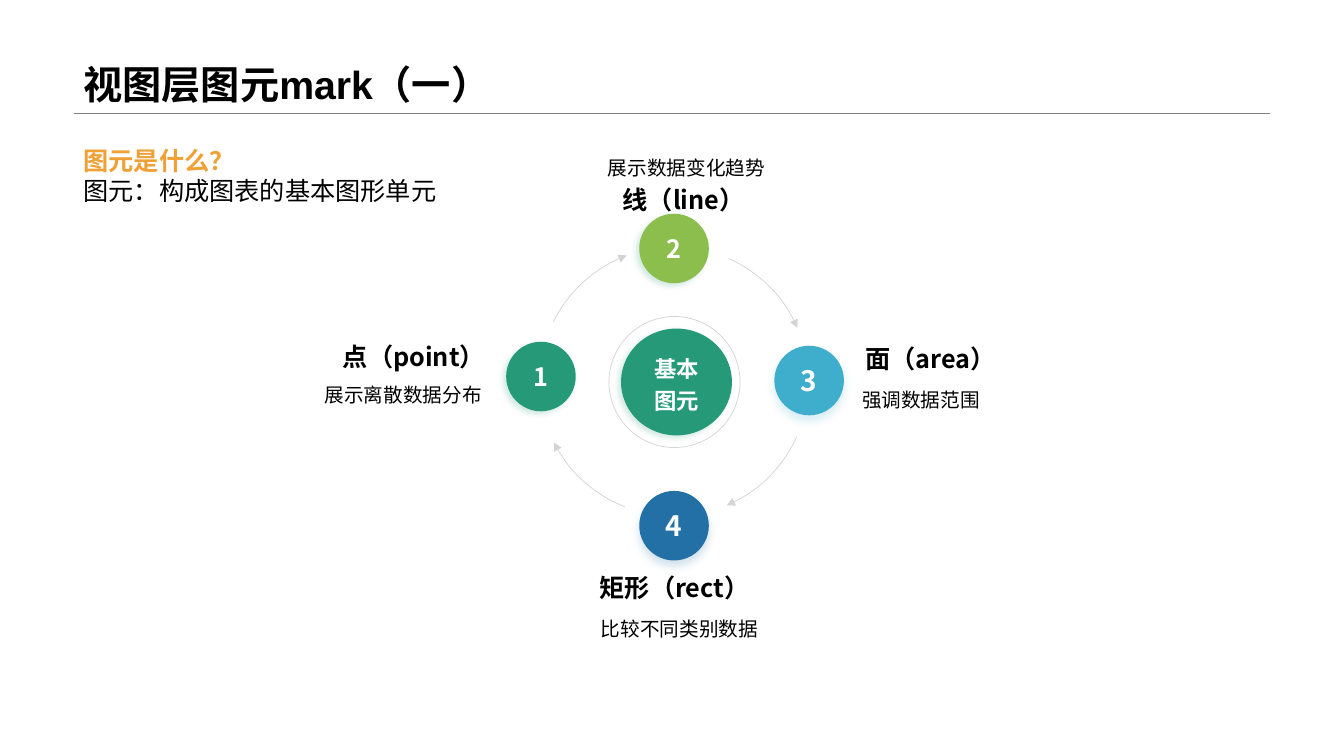
from dataclasses import dataclass

from lxml import etree
from pptx import Presentation
from pptx.dml.color import RGBColor
from pptx.enum import shapes, text
from pptx.oxml import ns
from pptx.util import Inches, Pt

LEFT, CENTER, RIGHT = text.PP_ALIGN.LEFT, text.PP_ALIGN.CENTER, text.PP_ALIGN.RIGHT
TOP, MIDDLE, BOTTOM = text.MSO_ANCHOR.TOP, text.MSO_ANCHOR.MIDDLE, text.MSO_ANCHOR.BOTTOM


@dataclass(frozen=True)
class Theme:
    latin: str = "Arial"
    cjk: str = "Noto Sans CJK SC"
    ink: str = "000000"
    white: str = "FFFFFF"
    rule: str = "808080"
    ring: str = "595959"
    accent: str = "EFA136"
    teal: str = "259978"
    green: str = "8CBE4D"
    sky: str = "3EAECC"
    blue: str = "2370A7"
    title: int = 28
    big: int = 20
    heading: int = 18
    hub: int = 16
    note: int = 14


THEME = Theme()
NODE = 0.69
# blur, distance (points) and direction (degrees)
SOFT, DROP = (4, 3, 135), (6, 4, 90)

# number, size, colour, shadow colour, shadow, left, top
NODES = [
    ("1", THEME.heading, THEME.teal, THEME.teal, SOFT, 5.02, 3.39),
    ("2", THEME.heading, THEME.green, THEME.teal, SOFT, 6.34, 2.12),
    ("3", THEME.big, THEME.sky, THEME.sky, DROP, 7.68, 3.43),
    ("4", THEME.big, THEME.blue, THEME.blue, DROP, 6.34, 4.87),
]

# alignment, heading, left, top, line spacing, note, left, top
LABELS = [
    (RIGHT, "点（point）", 2.81, 3.44, 1.0, "展示离散数据分布", 1.86, 3.63),
    (CENTER, "线（line）", 5.72, 1.85, 1.2, "展示数据变化趋势", 5.29, 1.38),
    (LEFT, "面（area）", 8.46, 3.43, 1.2, "强调数据范围", 8.43, 3.68),
    (CENTER, "矩形（rect）", 5.63, 5.7, 1.2, "比较不同类别数据", 5.22, 5.95),
]

# start and end adjustments of the arcs 1-2, 2-3, 3-4 and 4-1
ARCS = [(138.06, 164.09), (190.75, 0.31), (29.04, 54.57), (81.24, 106.26)]


def add_child(parent, tag, **attributes):
    return etree.SubElement(parent, ns.qn(tag), attributes)


def set_alpha(color_element, percent):
    add_child(color_element, "a:alpha", val=str(percent * 1000))


def set_text(para, words, size, color, bold=False, font=THEME.cjk, align=LEFT, spacing=1.0):
    para.text = words
    para.alignment = align
    para.line_spacing = spacing
    para.font.size = Pt(size)
    para.font.bold = bold
    para.font.color.rgb = RGBColor.from_string(color)
    para.font.name = font
    add_child(para._p.pPr.find(ns.qn("a:defRPr")), "a:ea", typeface=THEME.cjk)


def set_frame(frame, anchor, inset_x, inset_y):
    frame.word_wrap = True
    frame.vertical_anchor = anchor
    frame.margin_left = frame.margin_right = Inches(inset_x)
    frame.margin_top = frame.margin_bottom = Inches(inset_y)


def add_box(page, left, top, width, height, anchor=TOP, inset_x=0.12, inset_y=0.12):
    box = page.shapes.add_textbox(Inches(left), Inches(top), Inches(width), Inches(height))
    set_frame(box.text_frame, anchor, inset_x, inset_y)
    return box.text_frame


def add_plain_shape(page, kind, left, top, width, height):
    shape = page.shapes.add_shape(
        kind, Inches(left), Inches(top), Inches(width), Inches(height))
    shape.shadow.inherit = False
    return shape


def add_shadow(shape, color, blur, distance, direction):
    effects = shape._element.spPr.find(ns.qn("a:effectLst"))
    shadow = add_child(effects, "a:outerShdw", blurRad=str(Pt(blur)), dist=str(Pt(distance)),
                       dir=str(direction * 60000), algn="ctr", rotWithShape="0")
    set_alpha(add_child(shadow, "a:srgbClr", val=color), 20)


def add_disc(page, words, size, color, shadow_color, shadow, left, top,
             width=NODE, height=NODE, inset=0.05, spacing=1.0):
    disc = add_plain_shape(page, shapes.MSO_SHAPE.OVAL, left, top, width, height)
    disc.fill.solid()
    disc.fill.fore_color.rgb = RGBColor.from_string(color)
    disc.line.fill.background()
    add_shadow(disc, shadow_color, *shadow)
    set_frame(disc.text_frame, MIDDLE, inset, inset)
    set_text(disc.text_frame.paragraphs[0], words, size, THEME.white, True,
             align=CENTER, spacing=spacing)


def add_thin_outline(page, kind, left, top, size):
    """Adds an unfilled shape with a faint line."""
    outline = add_plain_shape(page, kind, left, top, size, size)
    outline.fill.background()
    outline.line.color.rgb = RGBColor.from_string(THEME.ring)
    outline.line.width = Pt(0.5)
    set_alpha(outline._element.spPr.find(".//" + ns.qn("a:srgbClr")), 25)
    return outline


def add_arc_arrow(page, start, end):
    arc = add_thin_outline(page, shapes.MSO_SHAPE.ARC, 5.35, 2.45, 2.67)
    arc.rotation = 336
    arc.adjustments[0], arc.adjustments[1] = start, end
    add_child(arc.line._get_or_add_ln(), "a:tailEnd", type="triangle")


def add_label(page, align, heading, left, top, spacing, note, note_left, note_top):
    frame = add_box(page, left, top, 2.12, 0.2, MIDDLE)
    set_text(frame.paragraphs[0], heading, THEME.heading, THEME.ink, True,
             align=align, spacing=spacing)
    frame = add_box(page, note_left, note_top, 3.04, 0.43)
    set_text(frame.paragraphs[0], note, THEME.note, THEME.ink, align=align, spacing=1.2)


def add_title(page, words):
    rule = page.shapes.add_connector(
        shapes.MSO_CONNECTOR.STRAIGHT, Inches(0.73), Inches(1.12), Inches(12.6), Inches(1.12))
    rule.line.color.rgb = RGBColor.from_string(THEME.rule)
    rule.line.width = Pt(0.25)
    add_child(rule._element.spPr, "a:effectLst")
    frame = add_box(page, 0.73, 0, 11.87, 1.12, BOTTOM, 0.1, 0.05)
    set_text(frame.paragraphs[0], words, THEME.title, THEME.ink, True, THEME.latin, spacing=0.9)


def add_definition(page, question, answer):
    frame = add_box(page, 0.73, 1.39, 6.67, 1.01, TOP, 0.1, 0.05)
    set_text(frame.paragraphs[0], question, THEME.heading, THEME.accent, True, THEME.latin)
    set_text(frame.add_paragraph(), answer, THEME.heading, THEME.ink, font=THEME.latin)


def main():
    deck = Presentation()
    deck.slide_width, deck.slide_height = Inches(13.33), Inches(7.5)
    page = deck.slides.add_slide(deck.slide_layouts[6])

    add_title(page, "视图层图元mark（一）")
    for arc in ARCS:
        add_arc_arrow(page, *arc)
    for node in NODES:
        add_disc(page, *node)
    for label in LABELS:
        add_label(page, *label)
    add_thin_outline(page, shapes.MSO_SHAPE.OVAL, 6.04, 3.14, 1.3)
    add_disc(page, "基本图元", THEME.hub, THEME.teal, THEME.teal, SOFT, 6.16, 3.26,
             1.1, 1.06, inset=0.08, spacing=1.2)
    add_definition(page, "图元是什么？", "图元：构成图表的基本图形单元")
    deck.save("out.pptx")


if __name__ == "__main__":
    main()
